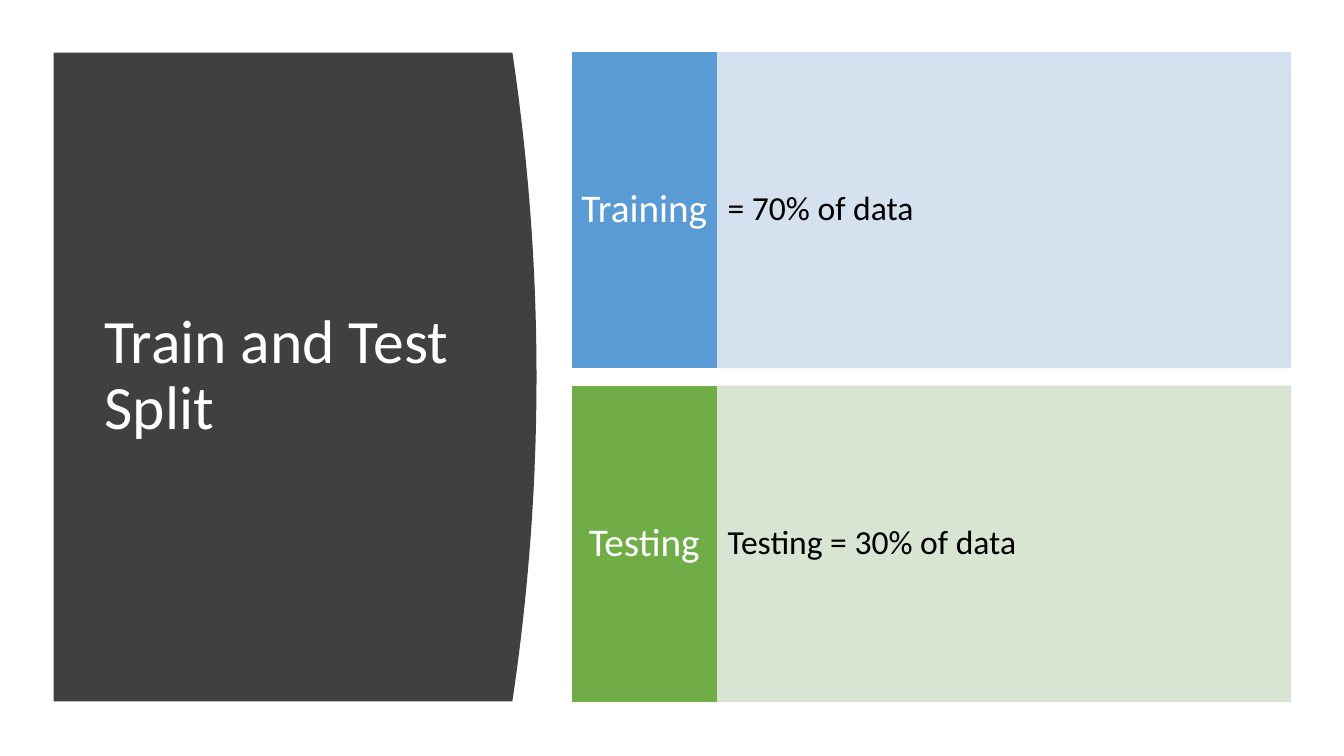
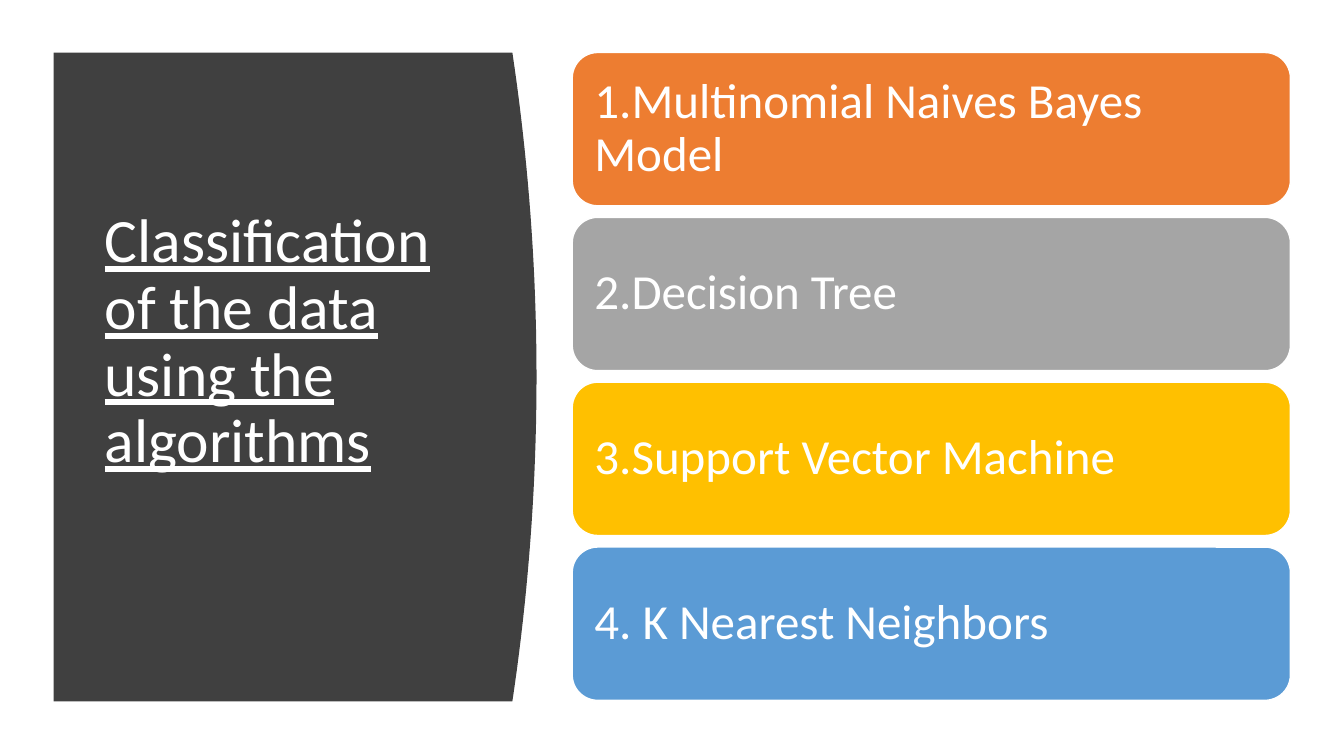
from lxml import etree
from pptx import Presentation
from pptx import util as u
from pptx.dml.color import RGBColor
from pptx.enum import shapes, text
from pptx.oxml import ns

PX = 9525  # EMU per px, 96 px to the inch


class Theme:
    font = "Calibri"
    title_size, list_size, label_size, detail_size = 44, 35, 28, 24
    white, black, panel = "FFFFFF", "000000", "404040"
    blue, green, orange, grey, gold = "5B9BD5", "70AD47", "ED7D31", "A5A5A5", "FFC000"
    pale_blue, pale_green = "D2DEEF", "D5E3CF"


TOP = 50          # shared top edge of panel and content
CONTENT_X = 545

prs = Presentation()
prs.slide_width, prs.slide_height = 1280 * PX, 720 * PX
title_only = prs.slide_layouts[5]


def start_slide(title, title_h, underline=False):
    """Add a slide with the curved dark panel and the title on it."""
    s = prs.slides.add_slide(title_only)

    # Panel whose right edge is a shallow parabola
    left, edge, bulge, height, steps = 51, 488, 23, 618, 40
    curve = []
    for i in range(steps + 1):
        t = 2 * i / steps - 1
        curve.append(((edge + bulge * (1 - t * t)) * PX, (TOP + height * i / steps) * PX))
    outline = s.shapes.build_freeform(left * PX, TOP * PX, scale=1.0)
    outline.add_line_segments(curve + [(left * PX, (TOP + height) * PX)], close=True)
    panel = outline.convert_to_shape()
    panel.shadow.inherit = False
    panel.fill.solid()
    panel.fill.fore_color.rgb = RGBColor.from_string(Theme.panel)
    panel.line.fill.background()

    # Title in front of the panel
    sp = s.shapes.title
    sp.element.addprevious(panel.element)
    sp.left, sp.top, sp.width, sp.height = 90 * PX, 107 * PX, 359 * PX, title_h * PX
    tf = sp.text_frame
    tf.text = title
    tf.word_wrap = True
    tf.auto_size = text.MSO_AUTO_SIZE.NONE
    tf.vertical_anchor = text.MSO_ANCHOR.MIDDLE
    p = tf.paragraphs[0]
    p.alignment = text.PP_ALIGN.LEFT
    p.line_spacing = 0.9
    p.font.name, p.font.size = Theme.font, u.Pt(Theme.title_size)
    p.font.underline = underline
    p.font.color.rgb = RGBColor.from_string(Theme.white)
    return s


def add_box(s, kind, at, fill, line, words, size, margin,
            color=Theme.white, align=text.PP_ALIGN.LEFT, opacity=100):
    """Add a filled shape with one vertically centred paragraph."""
    sp = s.shapes.add_shape(kind, *[n * PX for n in at])
    sp.shadow.inherit = False
    sp.fill.solid()
    sp.fill.fore_color.rgb = RGBColor.from_string(fill)
    sp.line.color.rgb = RGBColor.from_string(line)
    sp.line.width = u.Pt(1)
    if opacity < 100:
        for clr in sp.element.spPr.iter(ns.qn("a:srgbClr")):
            etree.SubElement(clr, ns.qn("a:alpha")).set("val", str(opacity * 1000))
    tf = sp.text_frame
    tf.text = words
    tf.word_wrap = True
    tf.vertical_anchor = text.MSO_ANCHOR.MIDDLE
    tf.margin_left = tf.margin_right = margin * PX
    p = tf.paragraphs[0]
    p.alignment = align
    p.line_spacing = 0.9
    p.font.name, p.font.size = Theme.font, u.Pt(size)
    p.font.color.rgb = RGBColor.from_string(color)


# Slide 1: a label and its share of the data in each row
s = start_slide("Train and Test Split", 503)
splits = [
    ("Training", "= 70% of data", Theme.blue, Theme.pale_blue),
    ("Testing", "Testing = 30% of data", Theme.green, Theme.pale_green),
]
label_w, detail_w, row_h, row_gap = 137, 547, 300, 18
rect = shapes.MSO_SHAPE.RECTANGLE
for i, (label, detail, strong, pale) in enumerate(splits):
    y = TOP + i * (row_h + row_gap)
    add_box(s, rect, (CONTENT_X + label_w, y, detail_w, row_h), pale, pale, detail,
            Theme.detail_size, 11, color=Theme.black, opacity=90)
    add_box(s, rect, (CONTENT_X, y, label_w, row_h), strong, strong, label,
            Theme.label_size, 7, align=text.PP_ALIGN.CENTER)

# Slide 2: one rounded bar per algorithm
s = start_slide("Classification of the data using the algorithms", 439, underline=True)
algorithms = [
    ("1.Multinomial Naives Bayes Model", Theme.orange),
    ("2.Decision Tree", Theme.grey),
    ("3.Support Vector Machine", Theme.gold),
    ("4. K Nearest Neighbors", Theme.blue),
]
bar_w, bar_h, bar_gap = 684, 146, 11
for i, (name, fill) in enumerate(algorithms):
    y = TOP + i * (bar_h + bar_gap)
    add_box(s, shapes.MSO_SHAPE.ROUNDED_RECTANGLE, (CONTENT_X, y, bar_w, bar_h),
            fill, Theme.white, name, Theme.list_size, 14)

prs.save("out.pptx")
